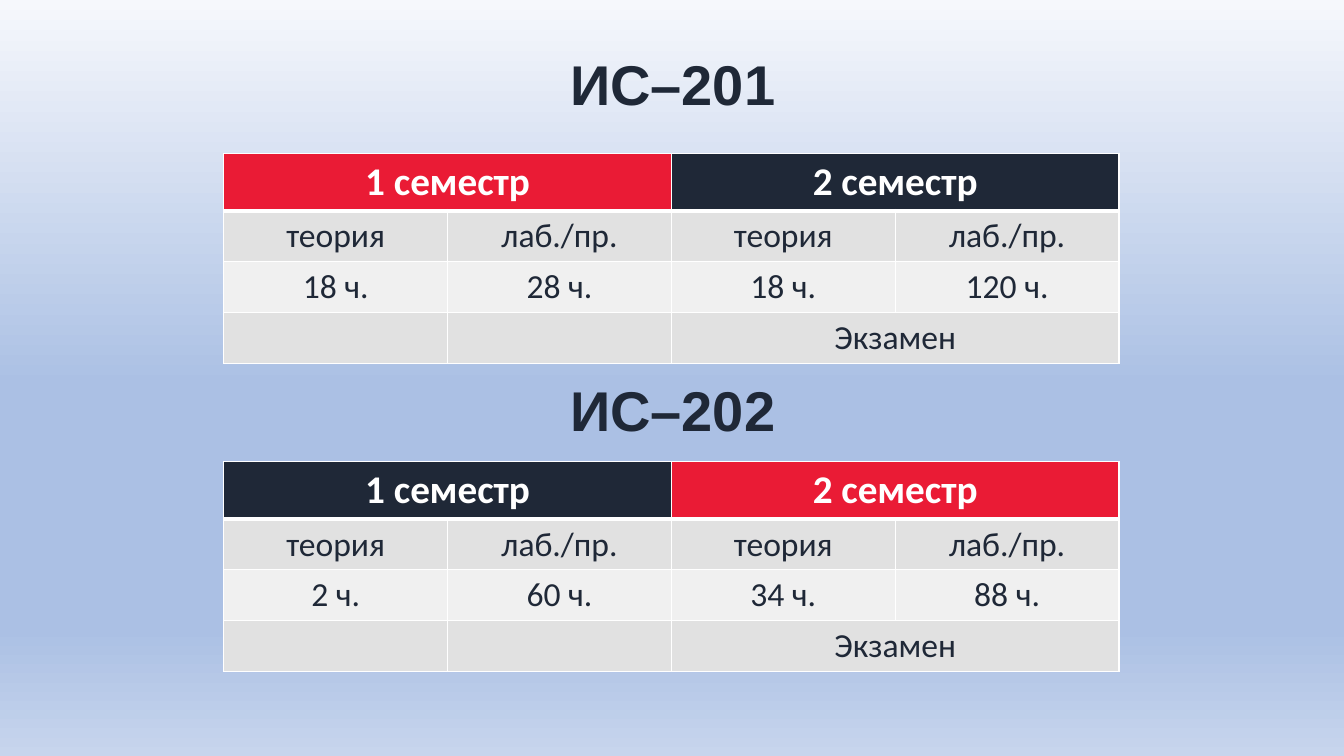
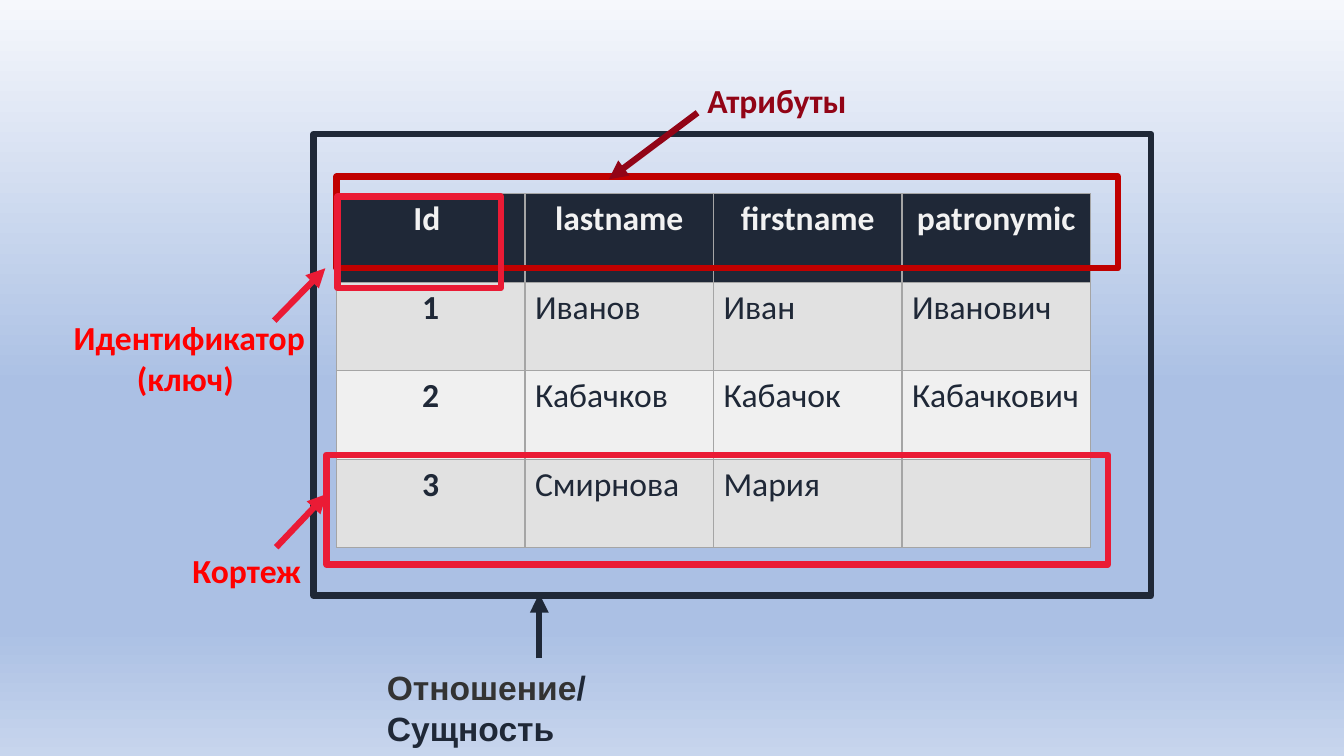
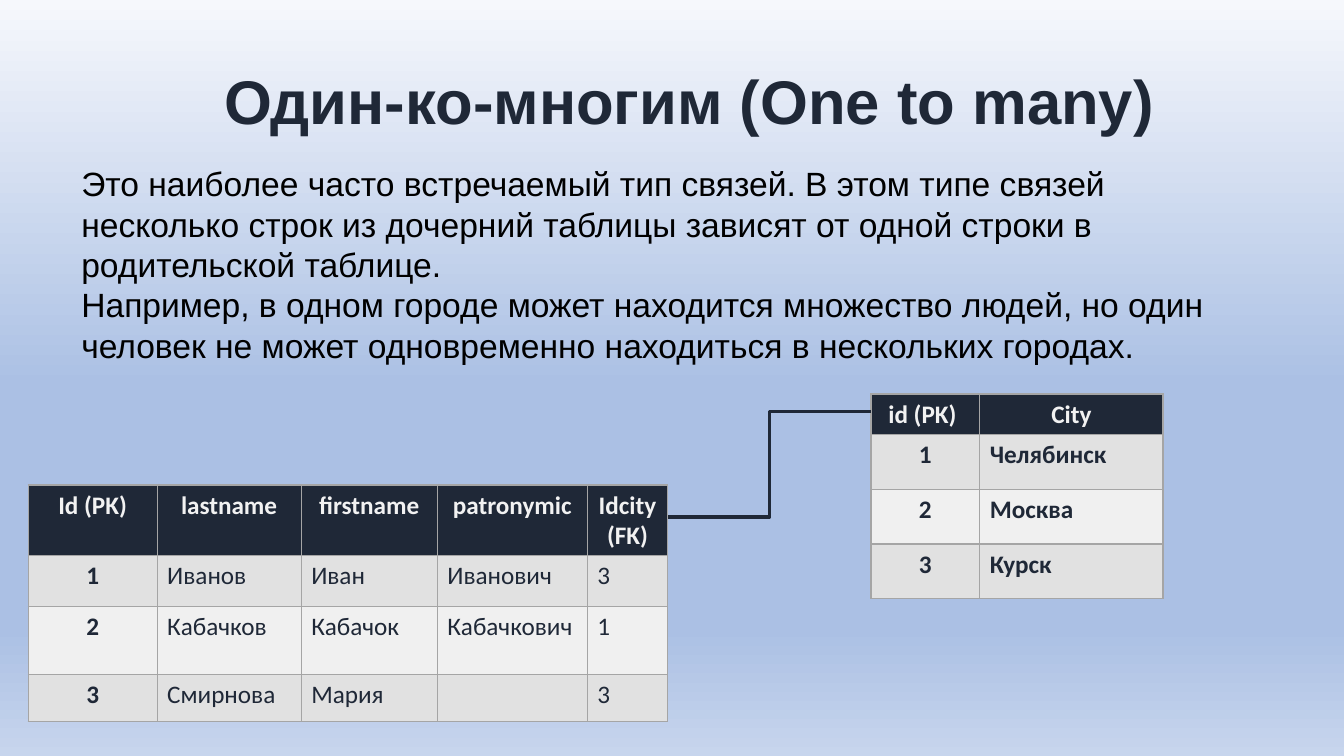
from lxml.etree import SubElement
from pptx import Presentation
from pptx.dml.color import RGBColor
from pptx.enum.shapes import MSO_CONNECTOR, MSO_SHAPE
from pptx.enum.text import MSO_ANCHOR, MSO_AUTO_SIZE, PP_ALIGN
from pptx.oxml.ns import qn
from pptx.util import Cm, Pt

NAVY, RED, WHITE = "1F2837", "EA1B35", "FFFFFF"
CRIMSON, MAROON, BRIGHT_RED = "C00000", "920416", "FF0000"
PALE, STRIPE, GREY_LINE, CHARCOAL = "F2F2F2", ("E1E1E1", "F0F0F0"), "A5A5A5", "333333"
SKY = ((0, "F6F8FC"), (51, "ABC0E4"), (83, "ABC0E4"), (100, "C7D5ED"))


def rgb(color):
    """Turn a hex string into a colour."""
    return RGBColor.from_string(color)


def write(frame, *paragraphs, size=24, color=NAVY, bold=False, font="Calibri",
          align=PP_ALIGN.LEFT, spacing=None):
    """Fill a text frame; a paragraph is a string or a list of (text, colour) runs."""
    for index, content in enumerate(paragraphs):
        paragraph = frame.add_paragraph() if index else frame.paragraphs[0]
        paragraph.alignment = align
        if spacing:
            paragraph.line_spacing = spacing
        runs = [(content, color)] if isinstance(content, str) else content
        for text, run_color in runs:
            run = paragraph.add_run()
            run.text = text
            run.font.name, run.font.size, run.font.bold = font, Pt(size), bold
            run.font.color.rgb = rgb(run_color)


def add_border(cell, side, color, width):
    """Draw one side of a table cell."""
    line = SubElement(cell._tc.get_or_add_tcPr(), qn("a:ln" + side), w=str(Pt(width)))
    SubElement(SubElement(line, qn("a:solidFill")), qn("a:srgbClr"), val=color)


class Deck:
    """Hold the shared style and the current slide."""

    def __init__(self):
        """Set the slide size and the shared background."""
        self.presentation = Presentation()
        self.presentation.slide_width = Cm(33.87)
        self.presentation.slide_height = Cm(19.05)
        self.slide = None
        master = self.presentation.slide_master
        background = master.background.fill
        background.gradient()
        background.gradient_angle = 270
        stops = master.element.find(".//" + qn("a:gsLst"))
        for stop in list(stops):
            stops.remove(stop)
        for percent, color in SKY:
            stop = SubElement(stops, qn("a:gs"), pos=str(percent * 1000))
            SubElement(stop, qn("a:srgbClr"), val=color)

    def new_slide(self):
        """Start a blank slide."""
        self.slide = self.presentation.slides.add_slide(self.presentation.slide_layouts[6])

    def text(self, left, top, width, height, *paragraphs, wrap=True,
             anchor=MSO_ANCHOR.TOP, **style):
        """Add a text box."""
        frame = self.slide.shapes.add_textbox(Cm(left), Cm(top), Cm(width), Cm(height)).text_frame
        frame.word_wrap = wrap
        frame.vertical_anchor = anchor
        if not wrap:
            frame.auto_size = MSO_AUTO_SIZE.SHAPE_TO_FIT_TEXT
        write(frame, *paragraphs, **style)

    def title(self, left, top, width, height, text, size=40):
        """Add a heading."""
        self.text(left, top, width, height, text, size=size, bold=True, font="Arial",
                  align=PP_ALIGN.CENTER, spacing=0.9, anchor=MSO_ANCHOR.MIDDLE)

    def label(self, left, top, width, height, *lines, **style):
        """Add a bold caption that fits its text."""
        self.text(left, top, width, height, *lines, wrap=False, bold=True, **style)

    def outline(self, left, top, width, height, color):
        """Add an unfilled rectangle."""
        box = self.slide.shapes.add_shape(MSO_SHAPE.RECTANGLE, Cm(left), Cm(top),
                                          Cm(width), Cm(height))
        box.shadow.inherit = False
        box.fill.background()
        box.line.color.rgb = rgb(color)
        box.line.width = Pt(4.5)

    def connector(self, start, end, color, width=4.5, kind=MSO_CONNECTOR.STRAIGHT, arrow=True):
        """Add a line between two points, with an arrowhead at its end if wanted."""
        link = self.slide.shapes.add_connector(kind, *(Cm(n) for n in (*start, *end)))
        link.line.color.rgb = rgb(color)
        link.line.width = Pt(width)
        properties = link.element.spPr
        if arrow:
            SubElement(properties.find(qn("a:ln")), qn("a:tailEnd"), type="triangle")
        SubElement(properties, qn("a:effectLst"))

    def table(self, left, top, widths, heights, rows, size=24, header_size=None,
              header_color=PALE, header_fills=None, border=GREY_LINE, header_rule=1,
              centred=(0,), bold=(0,), pairs=()):
        """Add a striped table; pairs are cells merged with their right neighbour."""
        table = self.slide.shapes.add_table(len(rows), len(widths), Cm(left), Cm(top),
                                            Cm(sum(widths)), Cm(sum(heights))).table
        table.first_row = table.horz_banding = False
        for column, width in zip(table.columns, widths):
            column.width = Cm(width)
        for r, (texts, height) in enumerate(zip(rows, heights)):
            table.rows[r].height = Cm(height)
            for c, text in enumerate(texts):
                cell = table.cell(r, c)
                header = r == 0
                for side in "LRTB":
                    rule = (r, side) in ((0, "B"), (1, "T"))
                    add_border(cell, side, border, header_rule if rule else 1)
                cell.fill.solid()
                header_fill = header_fills[c] if header_fills else NAVY
                cell.fill.fore_color.rgb = rgb(header_fill if header else STRIPE[(r - 1) % 2])
                if text:
                    write(cell.text_frame, text,
                          size=header_size or size if header else size,
                          color=header_color if header else NAVY,
                          bold=header or c in bold,
                          align=PP_ALIGN.CENTER if header or c in centred else PP_ALIGN.LEFT)
        for r, c in pairs:
            table.cell(r, c).merge(table.cell(r, c + 1))


def hours_slide(deck):
    """Show the hours of both groups."""
    deck.new_slide()
    groups = (
        ("ИС–201", 1.12, 2.16, 3.86, (RED, NAVY), ("18 ч.", "28 ч.", "18 ч.", "120 ч.")),
        ("ИС–202", 9.22, 2.41, 11.63, (NAVY, RED), ("2 ч.", "60 ч.", "34 ч.", "88 ч.")),
    )
    for group, title_top, title_height, table_top, (first, second), hours in groups:
        deck.title(14.1, title_top, 5.7, title_height, group)
        rows = (("1 семестр", "", "2 семестр", ""), ("теория", "лаб./пр.") * 2,
                hours, ("", "", "Экзамен", ""))
        deck.table(5.64, table_top, [5.64] * 4, [1.45] + [1.28] * 3, rows, header_size=28,
                   header_color=WHITE, header_fills=(first, first, second, second),
                   border=WHITE, header_rule=3, centred=range(4), bold=(),
                   pairs=((0, 0), (0, 2), (3, 2)))


PEOPLE = (("1", "Иванов", "Иван", "Иванович"), ("2", "Кабачков", "Кабачок", "Кабачкович"),
          ("3", "Смирнова", "Мария", ""))
NAMES = ("lastname", "firstname", "patronymic")


def relation_slide(deck):
    """Name the parts of a relation."""
    deck.new_slide()
    deck.outline(7.9, 3.38, 21.11, 11.63, NAVY)
    deck.table(8.48, 4.88, [4.75] * 4, [2.23] * 4, (("Id ", *NAMES), *PEOPLE))
    deck.outline(8.48, 4.45, 19.69, 2.31, CRIMSON)
    deck.connector((17.58, 2.84), (15.34, 4.52), MAROON)
    deck.label(17.58, 1.9, 4.06, 1.27, "Атрибуты", color=MAROON)
    deck.outline(8.23, 11.46, 19.69, 2.77, RED)
    deck.connector((6.91, 8.08), (8.2, 6.76), RED)
    deck.label(1.57, 7.87, 6.4, 2.31, "Идентификатор", "(ключ) ", color=BRIGHT_RED,
               align=PP_ALIGN.CENTER)
    deck.outline(8.51, 4.95, 4.11, 2.31, RED)
    deck.connector((6.96, 13.79), (8.23, 12.45), RED)
    deck.label(4.6, 13.72, 3.45, 1.27, "Кортеж", color=BRIGHT_RED)
    deck.connector((13.59, 16.59), (13.59, 14.96), NAVY)
    deck.text(9.5, 16.69, 8.94, 2.31, [("Отношение", CHARCOAL), ("/", NAVY)], "Сущность",
              bold=True, font="Arial")


def one_to_many_slide(deck):
    """Explain the one-to-many link."""
    deck.new_slide()
    deck.title(4.9, 1.27, 24.97, 2.72, "Один-ко-многим (One to many)", size=44)
    people = [(*person, city) for person, city in zip(PEOPLE, "313")]
    deck.table(0.71, 12.22, (3.25, 3.63, 3.43, 3.78, 2.03), (1.78, 1.28, 1.71, 1.19),
               (("Id (PK)", *NAMES, "Idcity (FK)"), *people), size=18)
    cities = (("id (PK) ", "City"), ("1", "Челябинск"), ("2", "Москва"), ("3", "Курск"))
    deck.table(21.95, 9.93, (2.74, 4.62), [1.02] + [1.38] * 3, cities, size=18, bold=(0, 1))
    deck.connector((21.95, 10.36), (16.84, 13.03), NAVY, width=2.25,
                   kind=MSO_CONNECTOR.ELBOW, arrow=False)
    deck.text(1.8, 3.99, 30.25, 4.37,
              "Это наиболее часто встречаемый тип связей. В этом типе связей несколько строк "
              "из дочерний таблицы зависят от одной строки в родительской таблице.",
              "Например, в одном городе может находится множество людей, но один человек "
              "не может одновременно находиться в нескольких городах.",
              color="000000", font="Arial")


def main():
    """Build and save the deck."""
    deck = Deck()
    hours_slide(deck)
    relation_slide(deck)
    one_to_many_slide(deck)
    deck.presentation.save("out.pptx")


if __name__ == "__main__":
    main()
